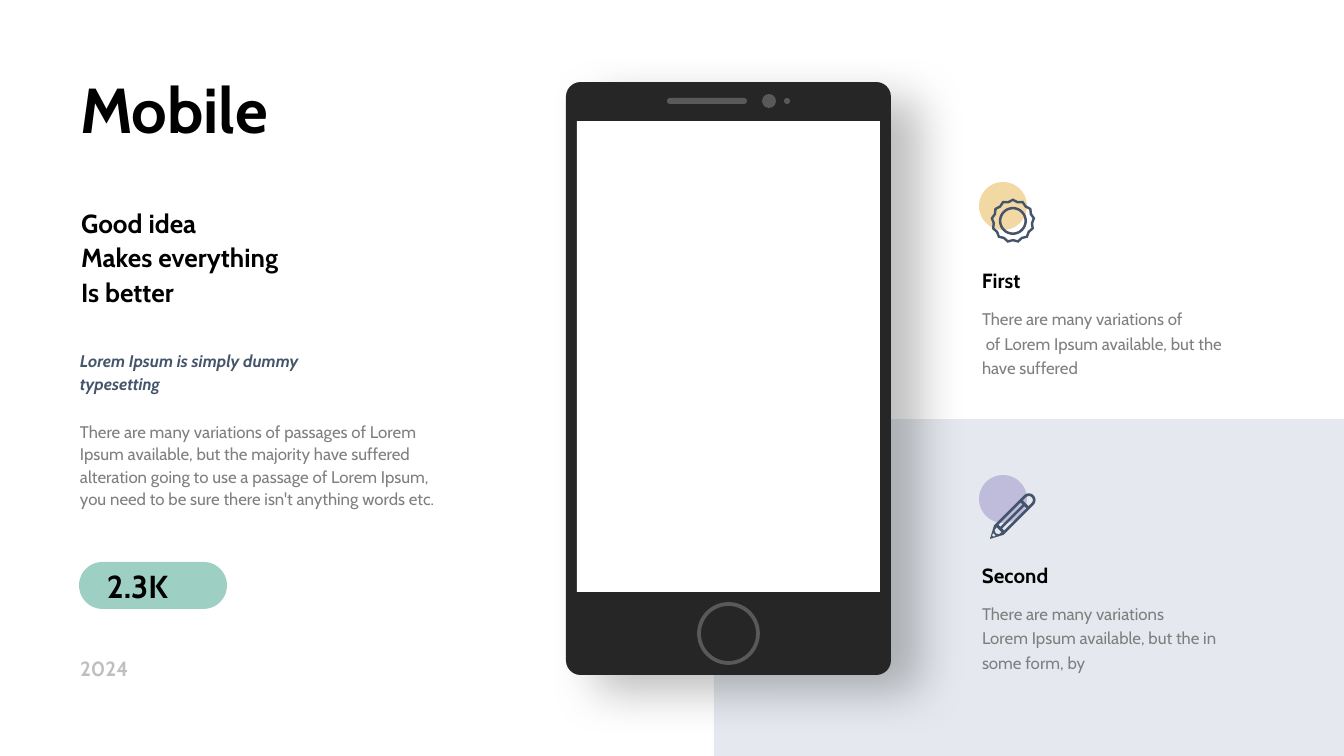
from dataclasses import dataclass
from math import cos, pi, sin, sqrt
from typing import Iterable

from lxml import etree
from pptx import Presentation
from pptx import util as u
from pptx.dml.color import RGBColor
from pptx.enum import shapes, text
from pptx.oxml import ns

WIDTH, HEIGHT = 1344, 756
SCALE = u.Inches(10) / WIDTH  # EMU per px
Box = tuple[int, int, int, int]
Point = tuple[float, float]
Kind = shapes.MSO_SHAPE


@dataclass(frozen=True)
class Theme:
    font: str = "Cabin"
    black: str = "000000"
    white: str = "FFFFFF"
    body: str = "7F7F7F"
    faint: str = "BFBFBF"
    navy: str = "44546A"
    panel: str = "D5DBE5"
    phone: str = "262626"
    detail: str = "595959"
    mint: str = "9DD0C2"
    amber: str = "EAC167"
    violet: str = "A69DCC"
    title_size: int = 34
    figure_size: int = 17
    lead_size: int = 14
    heading_size: int = 11
    body_size: int = 9


@dataclass(frozen=True)
class Feature:
    heading: str
    lines: tuple[str, ...]
    disc_top: int
    disc_color: str
    heading_top: int
    icon: list[list[Point]]


THEME = Theme()


def px(value: float) -> int:
    return round(value * SCALE)


def color_element(parent, color: str, alpha: int) -> None:
    element = etree.SubElement(parent, ns.qn("a:srgbClr"), val=color)
    etree.SubElement(element, ns.qn("a:alpha"), val=str(alpha * 1000))


def add_shape(slide, kind: Kind, box: Box, fill: str | None = None, alpha: int = 100,
              line: str | None = None, radius: float | None = None):
    shape = slide.shapes.add_shape(kind, *map(px, box))
    shape.shadow.inherit = False
    if radius is not None:
        shape.adjustments[0] = radius
    if fill:
        shape.fill.solid()
        shape.fill.fore_color.rgb = RGBColor.from_string(fill)
        if alpha < 100:
            solid = shape._element.spPr.find(ns.qn("a:solidFill"))
            solid.clear()
            color_element(solid, fill, alpha)
    else:
        shape.fill.background()
    if line:
        shape.line.color.rgb = RGBColor.from_string(line)
        shape.line.width = u.Pt(2)
    else:
        shape.line.fill.background()
    return shape


def add_shadow(shape, color: str, alpha: int, blur: int, distance: int, angle: int) -> None:
    effects = shape._element.spPr.find(ns.qn("a:effectLst"))
    shadow = etree.SubElement(
        effects, ns.qn("a:outerShdw"), blurRad=str(u.Pt(blur)), dist=str(u.Pt(distance)),
        dir=str(angle * 60000), algn="ctr", rotWithShape="0")
    color_element(shadow, color, alpha)


def write_text(slide, box: Box, lines: Iterable[str], *, size: int, color: str,
               bold: bool = False, italic: bool = False, spacing: float = 1.0,
               placeholder=None) -> None:
    shape = placeholder or slide.shapes.add_textbox(0, 0, 0, 0)
    shape.left, shape.top, shape.width, shape.height = map(px, box)
    frame = shape.text_frame
    frame.word_wrap = True
    frame.auto_size = text.MSO_AUTO_SIZE.NONE
    frame.vertical_anchor = text.MSO_ANCHOR.TOP
    frame.margin_left = frame.margin_right = px(10)
    frame.margin_top = frame.margin_bottom = px(5)
    for index, line in enumerate(lines):
        paragraph = frame.add_paragraph() if index else frame.paragraphs[0]
        paragraph.alignment = text.PP_ALIGN.LEFT
        paragraph.line_spacing = spacing
        paragraph.space_before = paragraph.space_after = u.Pt(0)
        if placeholder:
            properties = paragraph._p.get_or_add_pPr()
            properties.set("marL", "0")
            properties.set("indent", "0")
            etree.SubElement(properties, ns.qn("a:buNone"))
        run = paragraph.add_run()
        run.text = line
        run.font.name = THEME.font
        run.font.size = u.Pt(size)
        run.font.bold, run.font.italic = bold, italic
        run.font.color.rgb = RGBColor.from_string(color)


def radial_outline(center: Point, radii: tuple[float, ...], count: int) -> list[Point]:
    """Points around a center, cycling through the radii, from the top."""
    x, y = center
    angles = [2 * pi * index / count for index in range(count)]
    return [(x + radii[i % len(radii)] * sin(a), y - radii[i % len(radii)] * cos(a))
            for i, a in enumerate(angles)]


def gear_outlines(center: Point) -> list[list[Point]]:
    return [radial_outline(center, radii, count) for radii, count in
            (((22.5, 20.5), 26), ((19.8, 18), 26), ((14,), 48), ((11.5,), 48))]


def pencil_outlines(tip: Point) -> list[list[Point]]:
    """Outlines laid out along the pencil, then turned 45 degrees up."""
    def body(start: float, end: float, radius: float) -> list[Point]:
        arc = [pi * step / 12 - pi / 2 for step in range(13)]
        return ([(start, -radius)]
                + [(end + max(0, radius * cos(a)), radius * sin(a)) for a in arc]
                + [(start, radius)])

    flat = [
        [(0, 0)] + body(12.5, 55, 6.7),
        body(50.5, 55, 4),
        [(16, -4), (47.5, -4), (47.5, -1.3), (16, -1.3)],
        [(16, 1.3), (47.5, 1.3), (47.5, 4), (16, 4)],
        [(13, -3.5), (13, 3.5), (9.5, 3), (8, 0), (9.5, -3)],
        [(4, -1), (6.5, -2), (6.5, 2), (4, 1)],
    ]
    return [[(tip[0] + (along + across) / sqrt(2), tip[1] - (along - across) / sqrt(2))
             for along, across in outline] for outline in flat]


def add_outlines(slide, outlines: list[list[Point]], color: str) -> None:
    fine = 100  # drawing units per px
    scaled = [[(round(x * fine), round(y * fine)) for x, y in outline] for outline in outlines]
    builder = slide.shapes.build_freeform(*scaled[0][0], scale=SCALE / fine)
    for index, outline in enumerate(scaled):
        if index:
            builder.move_to(*outline[0])
        builder.add_line_segments(outline[1:], close=True)
    shape = builder.convert_to_shape()
    shape.shadow.inherit = False
    shape.fill.solid()
    shape.fill.fore_color.rgb = RGBColor.from_string(color)
    shape.line.fill.background()


def add_feature(slide, feature: Feature) -> None:
    add_shape(slide, Kind.OVAL, (979, feature.disc_top, 48, 48), feature.disc_color, 60)
    add_outlines(slide, feature.icon, THEME.navy)
    write_text(slide, (972, feature.heading_top, 153, 34), [feature.heading],
               size=THEME.heading_size, color=THEME.black, bold=True)
    write_text(slide, (972, feature.heading_top + 37, 288, 80), feature.lines,
               size=THEME.body_size, color=THEME.body, spacing=1.2)


def add_phone(slide) -> None:
    case = add_shape(slide, Kind.ROUNDED_RECTANGLE, (566, 82, 325, 593), THEME.phone, radius=0.045)
    add_shadow(case, THEME.black, alpha=26, blur=25, distance=18, angle=30)
    add_shape(slide, Kind.RECTANGLE, (577, 121, 303, 471), THEME.white)
    add_shape(slide, Kind.OVAL, (699, 604, 59, 59), line=THEME.detail)
    add_shape(slide, Kind.ROUNDED_RECTANGLE, (667, 98, 80, 6), THEME.detail, radius=0.5)
    for box in ((762, 94, 14, 14), (784, 98, 6, 6)):
        add_shape(slide, Kind.OVAL, box, THEME.detail)


def main() -> None:
    presentation = Presentation()
    presentation.slide_width, presentation.slide_height = px(WIDTH), px(HEIGHT)
    slide = presentation.slides.add_slide(presentation.slide_layouts[1])

    # Background panel
    add_shape(slide, Kind.RECTANGLE, (714, 419, 630, 337), THEME.panel, 60)

    # Left column
    write_text(slide, (70, 65, 1085, 87), ["Mobile"], size=THEME.title_size,
               color=THEME.black, bold=True, placeholder=slide.shapes.title)
    write_text(slide, (71, 199, 316, 112), ["Good idea", "Makes everything", "Is better"],
               size=THEME.lead_size, color=THEME.black, bold=True, spacing=1.1,
               placeholder=slide.placeholders[1])
    write_text(slide, (70, 344, 298, 52), ["Lorem Ipsum is simply dummy typesetting"],
               size=THEME.body_size, color=THEME.navy, bold=True, italic=True, spacing=1.1)
    write_text(slide, (70, 415, 396, 120),
               ["There are many variations of passages of Lorem Ipsum available, but the majority "
                "have suffered alteration going to use a passage of Lorem Ipsum, you need to be "
                "sure there isn't anything words etc."],
               size=THEME.body_size, color=THEME.body, spacing=1.1)
    write_text(slide, (70, 651, 319, 34), ["2024"], size=THEME.heading_size,
               color=THEME.faint, bold=True)

    # Features
    for feature in (
        Feature("First", ("There are many variations of",
                          " of Lorem Ipsum available, but the have suffered"),
                182, THEME.amber, 263, gear_outlines((1013, 221))),
        Feature("Second", ("There are many variations",
                           "Lorem Ipsum available, but the in some form, by"),
                475, THEME.violet, 558, pencil_outlines((990, 539))),
    ):
        add_feature(slide, feature)

    add_phone(slide)

    # Key figure
    add_shape(slide, Kind.ROUNDED_RECTANGLE, (79, 562, 148, 47), THEME.mint, radius=0.5)
    write_text(slide, (97, 562, 121, 47), ["2.3K"], size=THEME.figure_size,
               color=THEME.black, bold=True)

    presentation.save("out.pptx")


if __name__ == "__main__":
    main()
